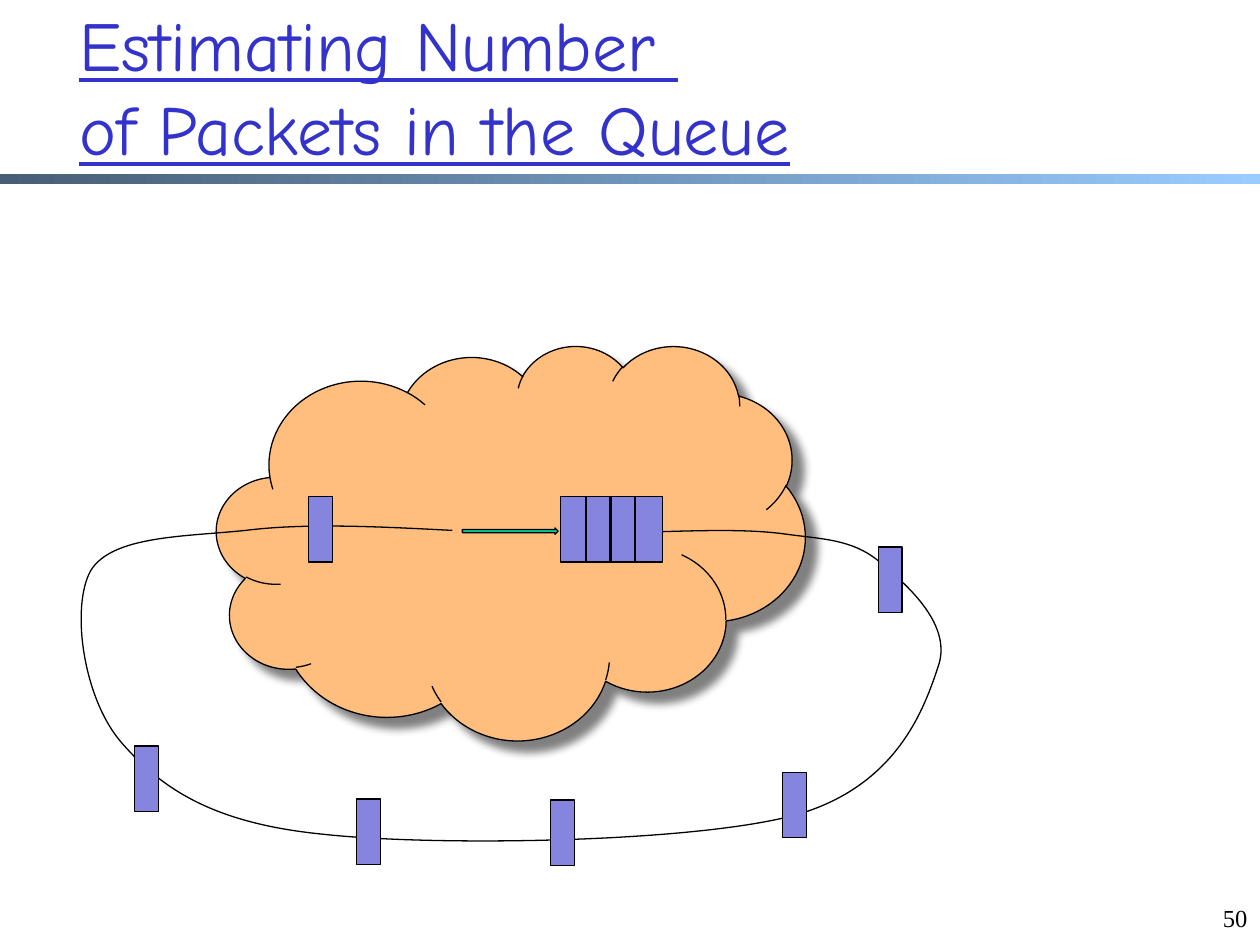
from copy import deepcopy
from dataclasses import dataclass

from lxml.etree import SubElement
from pptx import Presentation
from pptx.dml.color import RGBColor
from pptx.enum.shapes import MSO_SHAPE as Shape
from pptx.enum.text import MSO_ANCHOR as Anchor, MSO_AUTO_SIZE as AutoSize, PP_ALIGN as Align
from pptx.oxml.ns import qn
from pptx.util import Inches, Pt


@dataclass(frozen=True)
class Theme:
    """Colours, fonts and sizes of the deck."""
    title: str = "3333CC"
    text: str = "000000"
    line: str = "000000"
    band_start: str = "475E76"
    band_end: str = "99CCFF"
    cloud: str = "FFBE7D"
    shadow: str = "808080"
    packet: str = "8585E0"
    arrow: str = "00CC99"
    title_font: str = "Comic Neue"
    number_font: str = "Times New Roman"
    title_size: float = 40
    number_size: float = 14
    line_width: float = 0.75


@dataclass(frozen=True)
class Box:
    """A rectangle in inches."""
    left: float
    top: float
    width: float
    height: float

    def inside(self, left, top, width, height):
        """Return a box placed relative to this one."""
        return Box(self.left + left, self.top + top, width, height)

    def lengths(self):
        """Return left, top, width and height as lengths."""
        return [Inches(side) for side in (self.left, self.top, self.width, self.height)]


THEME = Theme()
PACKET_SIZE = (0.19, 0.52)
QUEUE = (3.89, 1.2, 0.81, 0.52)
QUEUE_SLOTS = [(4.09, 1.2), (4.29, 1.2)]
PACKETS = [(6.41, 1.6), (5.65, 3.39), (3.81, 3.61), (2.27, 3.6), (0.51, 3.18), (1.89, 1.2)]
ROUTE_START = (4.7, 1.48)
ROUTE_CURVES = [
    [(5.05, 1.47), (5.4, 1.46), (5.68, 1.5)],
    [(5.97, 1.54), (6.2, 1.54), (6.41, 1.71)],
    [(6.61, 1.88), (7, 2.2), (6.89, 2.54)],
    [(6.78, 2.87), (6.57, 3.5), (5.75, 3.73)],
    [(4.93, 3.95), (2.88, 3.98), (1.99, 3.88)],
    [(1.1, 3.79), (0.71, 3.5), (0.41, 3.16)],
    [(0.1, 2.81), (0, 2.08), (0.16, 1.79)],
    [(0.33, 1.51), (0.91, 1.52), (1.39, 1.47)],
    [(1.87, 1.41), (2.45, 1.44), (3.03, 1.47)],
]


def rgb(code):
    """Turn a hex code into a colour."""
    return RGBColor.from_string(code)


def write_text(frame, text, *, font, size, color, align=Align.LEFT, anchor=Anchor.TOP, underline=None):
    """Write one formatted paragraph, with line breaks at newlines."""
    frame.word_wrap = True
    frame.auto_size = AutoSize.NONE
    frame.vertical_anchor = anchor
    para = frame.paragraphs[0]
    para.text = text.replace("\n", "\v")
    para.alignment = align
    for span in para.runs:
        span.font.name = font
        span.font.size = Pt(size)
        span.font.color.rgb = rgb(color)
        span.font.underline = underline
    for line_break in para._p.findall(qn("a:br")):
        line_break.append(deepcopy(para.runs[0]._r.rPr))


def outline(shape):
    """Give a shape the thin outline and no shadow."""
    shape.shadow.inherit = False
    shape.line.color.rgb = rgb(THEME.line)
    shape.line.width = Pt(THEME.line_width)


def add_block(slide, kind, box, color):
    """Add a filled and outlined preset shape."""
    shape = slide.shapes.add_shape(kind, *box.lengths())
    shape.fill.solid()
    shape.fill.fore_color.rgb = rgb(color)
    outline(shape)
    return shape


def add_drop_shadow(shape):
    """Cast a soft shadow to the lower right."""
    effects = shape.element.spPr.find(qn("a:effectLst"))
    shadow = SubElement(effects, qn("a:outerShdw"), blurRad=str(Pt(5)), dist=str(Pt(8.5)),
                        dir=str(45 * 60000), algn="ctr", rotWithShape="0")
    SubElement(shadow, qn("a:srgbClr"), val=THEME.shadow)


def add_route(slide, box):
    """Draw the packets' round trip as a chain of cubic curves."""
    def place(point):
        return Inches(box.left + point[0]), Inches(box.top + point[1])

    builder = slide.shapes.build_freeform(*place(ROUTE_START))
    builder.add_line_segments([place(point) for curve in ROUTE_CURVES for point in curve], close=False)
    route = builder.convert_to_shape()
    segments = list(route.element.iter(qn("a:lnTo")))
    outline_path = segments[0].getparent()
    for first in range(0, len(segments), 3):
        curve = SubElement(outline_path, qn("a:cubicBezTo"))
        for segment in segments[first:first + 3]:
            curve.append(segment[0])
            outline_path.remove(segment)
    route.fill.background()
    outline(route)


def add_header(slide, box):
    """Place the title above the gradient band."""
    band = slide.shapes.add_shape(Shape.RECTANGLE, *box.inside(0, 1.38, box.width, 0.08).lengths())
    band.shadow.inherit = False
    band.line.fill.background()
    band.fill.gradient()
    band.fill.gradient_angle = 0
    stops = [(0, THEME.band_start), (1, THEME.band_end)]
    for stop, (position, color) in zip(band.fill.gradient_stops, stops):
        stop.position = position
        stop.color.rgb = rgb(color)
    title = slide.shapes.title
    title.left, title.top, title.width, title.height = box.inside(0.53, 0.05, 8.5, 1.25).lengths()
    write_text(title.text_frame, "Estimating Number \nof Packets in the Queue", font=THEME.title_font,
               size=THEME.title_size, color=THEME.title, anchor=Anchor.MIDDLE, underline=True)


def add_page_number(slide, box):
    """Write the page number."""
    number = slide.shapes.add_textbox(*box.lengths())
    write_text(number.text_frame, "50", font=THEME.number_font, size=THEME.number_size,
               color=THEME.text, align=Align.RIGHT)


def add_network(slide, box):
    """Draw the cloud, its queue and the packets along the route."""
    cloud = add_block(slide, Shape.CLOUD, box.inside(1.16, 0, 4.67, 3.13), THEME.cloud)
    add_drop_shadow(cloud)
    add_block(slide, Shape.RECTANGLE, box.inside(*QUEUE), THEME.packet)
    for slot in QUEUE_SLOTS:
        add_block(slide, Shape.RECTANGLE, box.inside(*slot, *PACKET_SIZE), THEME.packet)
    add_block(slide, Shape.RIGHT_ARROW, box.inside(3.11, 1.45, 0.76, 0.05), THEME.arrow)
    add_route(slide, box)
    for packet in PACKETS:
        add_block(slide, Shape.RECTANGLE, box.inside(*packet, *PACKET_SIZE), THEME.packet)


def main():
    """Build and save the deck."""
    deck = Presentation()
    deck.slide_width, deck.slide_height = Inches(10), Inches(7.5)
    slide = deck.slides.add_slide(deck.slide_layouts[5])
    add_header(slide, Box(0, 0, 10, 1.46))
    add_page_number(slide, Box(9.5, 7.12, 0.5, 0.5))
    add_network(slide, Box(0.56, 2.74, 7, 4.13))
    deck.save("out.pptx")


if __name__ == "__main__":
    main()
